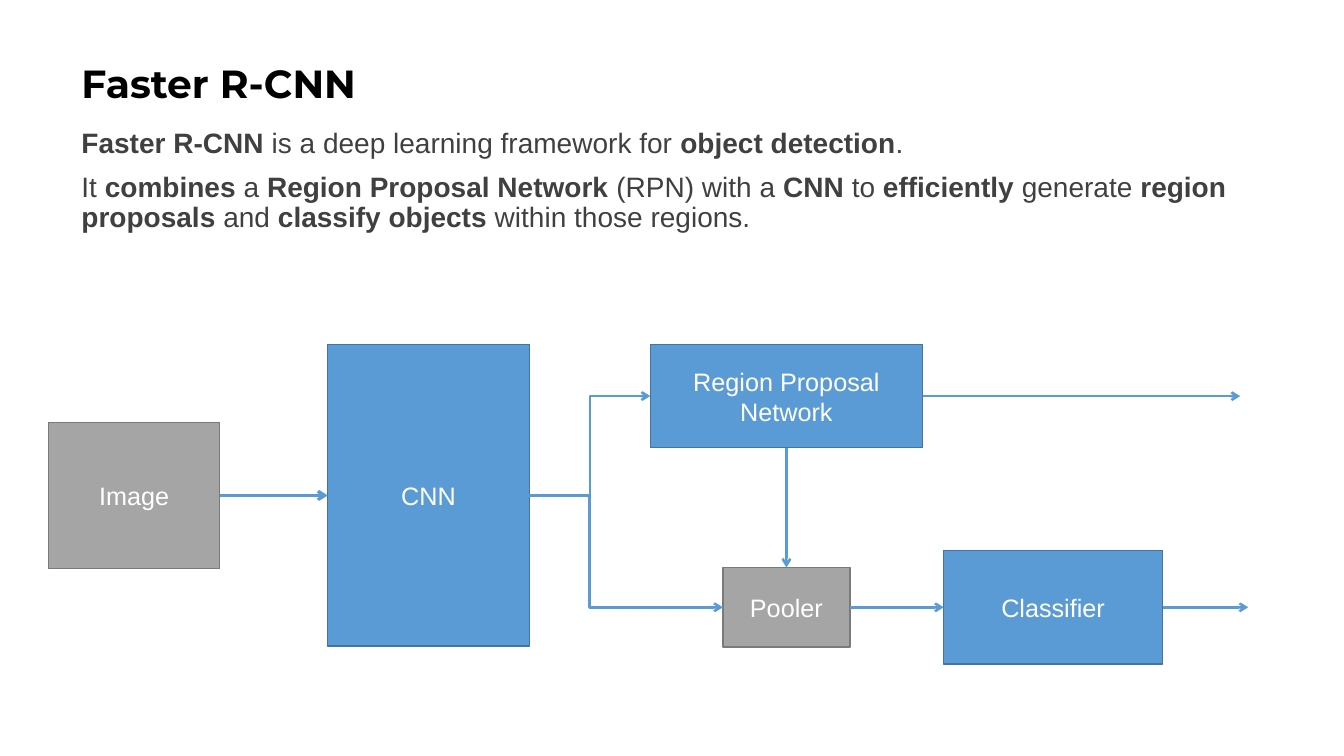
"""Build a slide that explains the Faster R-CNN pipeline."""
import pptx
import pptx.dml.color
import pptx.enum.shapes
import pptx.enum.text
import pptx.oxml
import pptx.oxml.ns
import pptx.util

RGBColor = pptx.dml.color.RGBColor
BLACK = RGBColor(0x00, 0x00, 0x00)
WHITE = RGBColor(0xFF, 0xFF, 0xFF)
CHARCOAL = RGBColor(0x40, 0x40, 0x40)
BLUE = RGBColor(0x5B, 0x9B, 0xD5)
BLUE_EDGE = RGBColor(0x43, 0x73, 0x9E)
GREY = RGBColor(0xA5, 0xA5, 0xA5)
GREY_EDGE = RGBColor(0x7A, 0x7A, 0x7A)

PX = 9144
TOP, LEFT, BOTTOM, RIGHT = range(4)
MIDDLE = pptx.enum.text.MSO_ANCHOR.MIDDLE
CONNECTOR = pptx.enum.shapes.MSO_CONNECTOR


class PipelineSlide:
    """Holds the style and the current slide, and draws its elements."""

    title_font = {"name": "Montserrat", "size": pptx.util.Pt(28), "bold": True}
    body_font = {"name": "Arial", "size": pptx.util.Pt(20)}
    label_font = {"name": "Arial", "size": pptx.util.Pt(18)}
    text_spacing = {"line_spacing": 0.9, "space_before": pptx.util.Pt(0)}
    centred = {"alignment": pptx.enum.text.PP_ALIGN.CENTER}

    def __init__(self, presentation):
        self.slide = presentation.slides.add_slide(presentation.slide_layouts[6])
        self.shapes = self.slide.shapes

    def apply(self, target, formats):
        for attribute, value in formats.items():
            setattr(target, attribute, value)

    def text(self, bounds, paragraphs, font, color, frame_format, gap=0):
        """Write paragraphs in which ** switches bold on and off."""
        frame = self.shapes.add_textbox(*(PX * n for n in bounds)).text_frame
        self.apply(frame, {"word_wrap": True, **frame_format})
        for index, content in enumerate(paragraphs):
            paragraph = frame.add_paragraph() if index else frame.paragraphs[0]
            self.apply(paragraph, self.text_spacing)
            if index:
                paragraph.space_before = pptx.util.Pt(gap)
            for order, part in enumerate(content.split("**")):
                if part:
                    run = paragraph.add_run()
                    run.text = part
                    self.apply(run.font, {"bold": order % 2 == 1, **font})
                    run.font.color.rgb = color

    def block(self, bounds, label, fill, edge):
        rectangle = pptx.enum.shapes.MSO_SHAPE.RECTANGLE
        block = self.shapes.add_shape(rectangle, *(PX * n for n in bounds))
        block.shadow.inherit = False
        block.fill.solid()
        block.fill.fore_color.rgb = fill
        block.line.color.rgb = edge
        block.line.width = pptx.util.Pt(1)
        frame = block.text_frame
        self.apply(frame, {"word_wrap": True, "vertical_anchor": MIDDLE})
        paragraph = frame.paragraphs[0]
        self.apply(paragraph, self.centred)
        run = paragraph.add_run()
        run.text = label
        self.apply(run.font, self.label_font)
        run.font.color.rgb = WHITE
        return block

    def arrow(self, source, side, target=None, target_side=LEFT,
              reach=0, bend=0, width=1.75):
        """Link two blocks, or run level for reach px; bend is px to the turn."""
        kind = CONNECTOR.ELBOW if bend else CONNECTOR.STRAIGHT
        arrow = self.shapes.add_connector(kind, 0, 0, 0, 0)
        arrow.begin_connect(source, side)
        if target is not None:
            arrow.end_connect(target, target_side)
        else:
            arrow.end_x = arrow.begin_x + reach * PX
            arrow.end_y = arrow.begin_y
        arrow.line.color.rgb = BLUE
        arrow.line.width = pptx.util.Pt(width)
        properties = arrow._element.spPr
        namespace = pptx.oxml.ns.nsdecls("a")
        if bend:
            ratio = round(100000 * bend * PX / arrow.width)
            guides = properties.find(".//" + pptx.oxml.ns.qn("a:avLst"))
            guides.append(pptx.oxml.parse_xml(
                f'<a:gd {namespace} name="adj1" fmla="val {ratio}"/>'))
        arrow.line._get_or_add_ln().append(
            pptx.oxml.parse_xml(f'<a:tailEnd {namespace} type="arrow"/>'))
        properties.append(pptx.oxml.parse_xml(f"<a:effectLst {namespace}/>"))


def main():
    presentation = pptx.Presentation()
    presentation.slide_width = 1333 * PX
    presentation.slide_height = 750 * PX
    page = PipelineSlide(presentation)

    page.text((71, 33, 1150, 104), ["Faster R-CNN"], page.title_font, BLACK,
              {"vertical_anchor": MIDDLE})
    page.text((71, 123, 1237, 153), [
        "**Faster R-CNN **is a deep learning framework for **object detection**.",
        "It **combines** a **Region Proposal Network** (RPN) with a **CNN** to "
        "**efficiently **generate **region proposals** and **classify objects** "
        "within those regions.",
    ], page.body_font, CHARCOAL, {}, gap=10)

    image = page.block((48, 419, 170, 145), "Image", GREY, GREY_EDGE)
    cnn = page.block((325, 342, 200, 299), "CNN", BLUE, BLUE_EDGE)
    proposals = page.block((645, 342, 270, 102), "Region Proposal Network",
                           BLUE, BLUE_EDGE)
    pooler = page.block((717, 563, 126, 79), "Pooler", GREY, GREY_EDGE)
    classifier = page.block((936, 546, 217, 113), "Classifier", BLUE, BLUE_EDGE)

    page.arrow(image, RIGHT, cnn, width=2.25)
    for branch in (proposals, pooler):
        page.arrow(cnn, RIGHT, branch, bend=60)
    page.arrow(proposals, BOTTOM, pooler, TOP)
    page.arrow(pooler, RIGHT, classifier)
    page.arrow(proposals, RIGHT, reach=315)
    page.arrow(classifier, RIGHT, reach=85)

    presentation.save("out.pptx")


if __name__ == "__main__":
    main()
